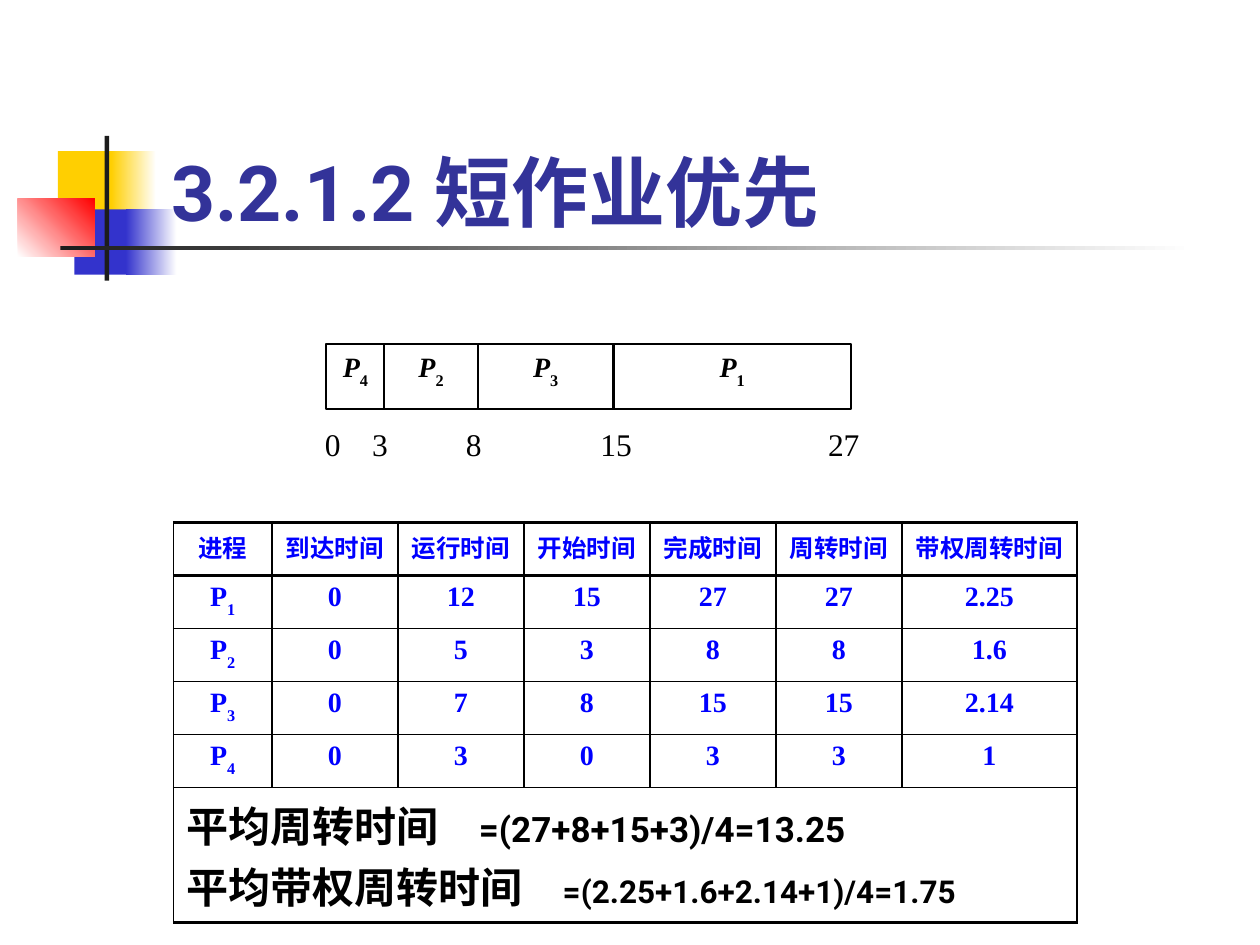
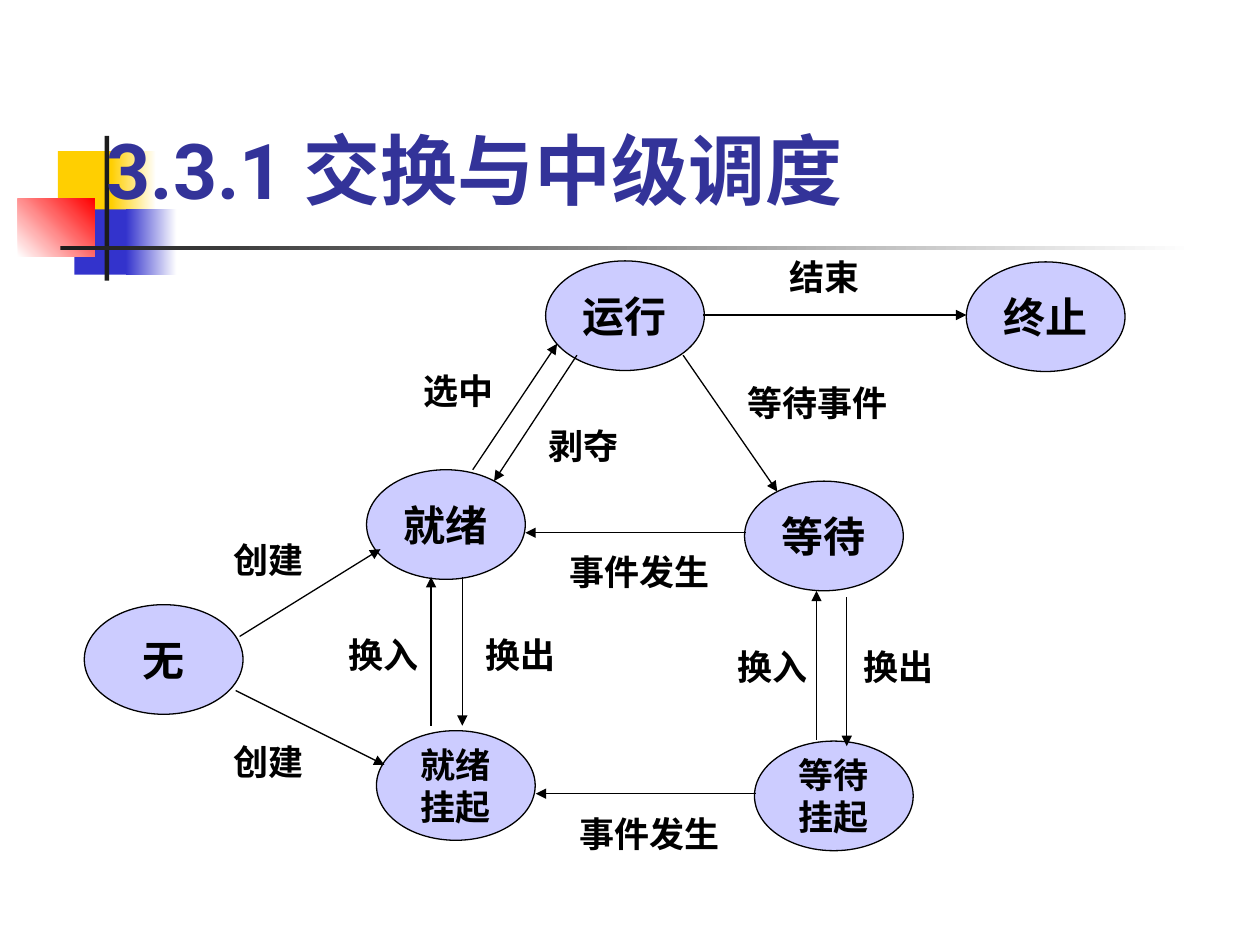
from dataclasses import dataclass
from itertools import pairwise

from lxml.etree import SubElement
from pptx import Presentation
from pptx.dml.color import RGBColor
from pptx.enum.shapes import MSO_CONNECTOR, MSO_SHAPE
from pptx.enum.text import MSO_ANCHOR, MSO_AUTO_SIZE, PP_ALIGN
from pptx.oxml import parse_xml
from pptx.oxml.ns import nsdecls, qn
from pptx.util import Cm, Pt


@dataclass(frozen=True)
class Theme:
    title: str = "333399"
    ink: str = "000000"
    paper: str = "FFFFFF"
    table: str = "0000FF"
    state: str = "CCCCFF"
    yellow: str = "FFCF01"
    blue: str = "3333CC"
    red: str = "FF0000"
    rule: str = "1C1C1C"
    sans: str = "Roboto"
    serif: str = "Times New Roman"
    title_size: int = 44
    large: int = 24
    label: int = 20
    tick: int = 18
    value: int = 16
    head: int = 14
    thin: float = 0.75
    grid: float = 1
    bar: float = 1.25
    heavy: float = 2


T = Theme()

TITLE_FMT = dict(name=T.sans, size=T.title_size, color=T.title, bold=True)
SUMMARY_FMT = dict(name=T.sans, size=T.large, color=T.ink, bold=True)
TICK_FMT = dict(name=T.serif, size=T.tick, color=T.ink, bold=False)
BAR_FMT = dict(name=T.serif, size=T.value, color=T.ink, bold=True)
HEAD_FMT = dict(name=T.serif, size=T.head, color=T.table, bold=True)
VALUE_FMT = HEAD_FMT | dict(size=T.value)
STATE_FMT = dict(name=T.serif, size=T.large, color=T.ink, bold=True)
LABEL_FMT = STATE_FMT | dict(size=T.label)

MOTIF = [
    ((1.17, 3.05, 1.22, 1.32), (T.yellow,), 0),
    ((2.24, 3.05, 0.91, 1.32), (T.yellow, T.paper), 0),
    ((1.5, 4.22, 1.17, 1.32), (T.blue,), 0),
    ((2.54, 4.22, 1.02, 1.32), (T.blue, T.paper), 0),
    ((0.36, 4.01, 1.55, 1.17), (T.paper, T.red), 45),
    ((2.11, 2.74, 0.09, 2.92), (T.rule,), 0),
    ((1.22, 4.95, 22.86, 0.09), (T.rule, T.paper), 0),
]

SJF_TITLE = "3.2.1.2 短作业优先", (3.2, 1.73, 21.64, 3.18)
GANTT_ORDER = ["4", "2", "3", "1"]
GANTT_EDGES = [6.58, 7.75, 9.63, 12.37, 17.15]
GANTT_TOP, GANTT_HEIGHT = 6.93, 1.32
TICKS = ["0", "3", "8", "15", "27"]
TICK_BOX = (6.3, 8.53, 11.4, 0.91)
TICK_STOPS = [1.11, 3, 5.87, 10.46]

TABLE_LEFT, TABLE_TOP = 3.5, 10.53
COLUMNS = [
    ("进程", 1.98), ("到达时间", 2.54), ("运行时间", 2.54), ("开始时间", 2.54),
    ("完成时间", 2.54), ("周转时间", 2.54), ("带权周转时间", 3.53),
]
JOBS = [
    ("1", "0", "12", "15", "27", "27", "2.25"),
    ("2", "0", "5", "3", "8", "8", "1.6"),
    ("3", "0", "7", "8", "15", "15", "2.14"),
    ("4", "0", "3", "0", "3", "3", "1"),
]
ROW_HEIGHT, SUMMARY_HEIGHT = 1.07, 2.72
SUMMARY = [
    ("平均周转时间", "=(27+8+15+3)/4=13.25", T.label, 5.9),
    ("平均带权周转时间", "=(2.25+1.6+2.14+1)/4=1.75", T.tick, 7.59),
]

SWAP_TITLE = "3.3.1 交换与中级调度", (1.9, 1.27, 21.59, 3.18)
STATE_SIZE = (3.2, 2.21)
STATES = [
    (["就绪"], 7.39, 9.47), (["等待"], 15.01, 9.7), (["运行"], 11, 5.26),
    (["就绪", "挂起"], 7.59, 14.73), (["等待", "挂起"], 15.21, 14.94),
    (["无"], 1.7, 12.19), (["终止"], 19.48, 5.28),
]
ARROWS = [
    (11.63, 7.16, 9.96, 9.7), (13.77, 7.16, 15.67, 9.91),
    (15.04, 10.74, 10.59, 10.74), (9.53, 9.47, 11.23, 6.93),
    (15.24, 16, 10.8, 16), (4.83, 12.83, 7.67, 11.07),
    (4.75, 13.92, 7.75, 15.42), (14.17, 6.35, 19.48, 6.35),
    (9.32, 11.63, 9.32, 14.63), (8.69, 14.63, 8.69, 11.63),
    (17.07, 12.04, 17.07, 15.04), (16.46, 14.91, 16.46, 11.91),
]
LABELS = [
    ("剥夺", 10.8, 8.43), ("选中", 8.28, 7.32), ("等待事件", 14.81, 7.57),
    ("事件发生", 11.23, 10.97), ("创建", 4.45, 10.74), ("创建", 4.45, 14.81),
    ("结束", 15.67, 5.03), ("换出", 9.53, 12.65), ("换出", 17.15, 12.88),
    ("换入", 6.78, 12.65), ("换入", 14.61, 12.88), ("事件发生", 11.43, 16.26),
]


def cm(*values):
    return [Cm(v) for v in values]


def rgb(color):
    return RGBColor.from_string(color)


def add_run(p, text, fmt, subscript=False, **extra):
    r = p.add_run()
    r.text = text
    for key, value in (fmt | extra).items():
        if key == "color":
            r.font.color.rgb = rgb(value)
        else:
            setattr(r.font, key, Pt(value) if key == "size" else value)
    if subscript:
        r._r.get_or_add_rPr().set("baseline", "-30000")


def add_process(p, number, fmt, italic=False):
    add_run(p, "P", fmt, italic=italic)
    add_run(p, number, fmt, subscript=True)


def set_tabs(p, stops, align):
    tabs = SubElement(p._p.get_or_add_pPr(), qn("a:tabLst"))
    for stop in stops:
        SubElement(tabs, qn("a:tab"), pos=str(Cm(stop)), algn=align)


def add_block(s, kind, box, colors, angle=0, line=None):
    sp = s.shapes.add_shape(kind, *cm(*box))
    sp.shadow.inherit = False
    if len(colors) == 1:
        sp.fill.solid()
        sp.fill.fore_color.rgb = rgb(colors[0])
    else:
        sp.fill.gradient()
        sp.fill.gradient_angle = angle
        for stop, color in zip(sp.fill.gradient_stops, colors):
            stop.color.rgb = rgb(color)
    if line:
        sp.line.color.rgb = rgb(T.ink)
        sp.line.width = Pt(line)
    else:
        sp.line.fill.background()
    return sp


def add_text_box(s, box):
    tf = s.shapes.add_textbox(*cm(*box)).text_frame
    tf.word_wrap = True
    return tf


def add_arrow(s, ends):
    line = s.shapes.add_connector(MSO_CONNECTOR.STRAIGHT, *cm(*ends))
    line.line.color.rgb = rgb(T.ink)
    line.line.width = Pt(T.thin)
    SubElement(line.line._get_or_add_ln(), qn("a:tailEnd"), type="triangle")
    SubElement(line.element.spPr, qn("a:effectLst"))


def set_borders(cell, top, bottom):
    cell.fill.background()
    tc_pr = cell._tc.get_or_add_tcPr()
    widths = dict(lnL=T.grid, lnR=T.grid, lnT=top, lnB=bottom)
    for i, (side, width) in enumerate(widths.items()):
        tc_pr.insert(i, parse_xml(
            f'<a:{side} {nsdecls("a")} w="{Pt(width)}"><a:solidFill>'
            f'<a:srgbClr val="{T.ink}"/></a:solidFill></a:{side}>'))


def add_slide(prs, title, box):
    s = prs.slides.add_slide(prs.slide_layouts[5])
    sp = s.shapes.title
    sp.left, sp.top, sp.width, sp.height = cm(*box)
    tf = sp.text_frame
    for key, value in dict(word_wrap=True, auto_size=MSO_AUTO_SIZE.NONE,
                           vertical_anchor=MSO_ANCHOR.BOTTOM).items():
        setattr(tf, key, value)
    p = tf.paragraphs[0]
    p.alignment = PP_ALIGN.LEFT
    add_run(p, title, TITLE_FMT)
    return s


def move_motif_to_layout(s):
    for box, colors, angle in MOTIF:
        sp = add_block(s, MSO_SHAPE.RECTANGLE, box, colors, angle)
        s.slide_layout.shapes.element.append(sp.element)


def add_gantt(s):
    for number, (left, right) in zip(GANTT_ORDER, pairwise(GANTT_EDGES)):
        box = (left, GANTT_TOP, right - left, GANTT_HEIGHT)
        sp = add_block(s, MSO_SHAPE.RECTANGLE, box, (T.paper,), line=T.bar)
        tf = sp.text_frame
        tf.vertical_anchor = MSO_ANCHOR.TOP
        p = tf.paragraphs[0]
        p.alignment = PP_ALIGN.CENTER
        add_process(p, number, BAR_FMT, italic=True)
    tf = add_text_box(s, TICK_BOX)
    tf.margin_top = tf.margin_bottom = Cm(0.03)
    p = tf.paragraphs[0]
    set_tabs(p, TICK_STOPS, "ctr")
    add_run(p, "\t".join(TICKS), TICK_FMT)


def add_job_table(s):
    heights = [ROW_HEIGHT] * (len(JOBS) + 1) + [SUMMARY_HEIGHT]
    width = sum(w for _, w in COLUMNS)
    box = (TABLE_LEFT, TABLE_TOP, width, sum(heights))
    table = s.shapes.add_table(len(heights), len(COLUMNS), *cm(*box)).table
    table.first_row = table.horz_banding = False
    for column, (_, w) in zip(table.columns, COLUMNS):
        column.width = Cm(w)
    last = len(heights) - 1
    for i, height in enumerate(heights):
        table.rows[i].height = Cm(height)
        for cell in table.rows[i].cells:
            set_borders(cell, T.heavy if i < 2 else T.grid,
                        T.heavy if i in (0, last) else T.grid)
    for i, row in enumerate([[name for name, _ in COLUMNS], *JOBS]):
        for j, text in enumerate(row):
            p = table.cell(i, j).text_frame.paragraphs[0]
            p.alignment = PP_ALIGN.CENTER
            if i and j == 0:
                add_process(p, text, VALUE_FMT)
            else:
                add_run(p, text, VALUE_FMT if i else HEAD_FMT)
    summary = table.cell(last, 0)
    summary.merge(table.cell(last, len(COLUMNS) - 1))
    tf = summary.text_frame
    for i, (name, formula, size, stop) in enumerate(SUMMARY):
        p = tf.add_paragraph() if i else tf.paragraphs[0]
        set_tabs(p, [stop], "l")
        add_run(p, name + "\t", SUMMARY_FMT)
        add_run(p, formula, SUMMARY_FMT, size=size)


def add_state_diagram(s):
    for lines, left, top in STATES:
        sp = add_block(s, MSO_SHAPE.OVAL, (left, top, *STATE_SIZE),
                       (T.state,), line=T.thin)
        tf = sp.text_frame
        tf.word_wrap = False
        tf.vertical_anchor = MSO_ANCHOR.MIDDLE
        for i, text in enumerate(lines):
            p = tf.add_paragraph() if i else tf.paragraphs[0]
            p.alignment = PP_ALIGN.CENTER
            add_run(p, text, STATE_FMT if len(lines) == 1 else LABEL_FMT)
    for ends in ARROWS:
        add_arrow(s, ends)
    for text, left, top in LABELS:
        tf = add_text_box(s, (left, top, 0.7 + 0.7 * len(text), 1.09))
        add_run(tf.paragraphs[0], text, LABEL_FMT)


def main():
    prs = Presentation()
    prs.slide_width, prs.slide_height = cm(25.4, 19.05)
    s = add_slide(prs, *SJF_TITLE)
    move_motif_to_layout(s)
    add_gantt(s)
    add_job_table(s)
    add_state_diagram(add_slide(prs, *SWAP_TITLE))
    prs.save("out.pptx")


if __name__ == "__main__":
    main()
